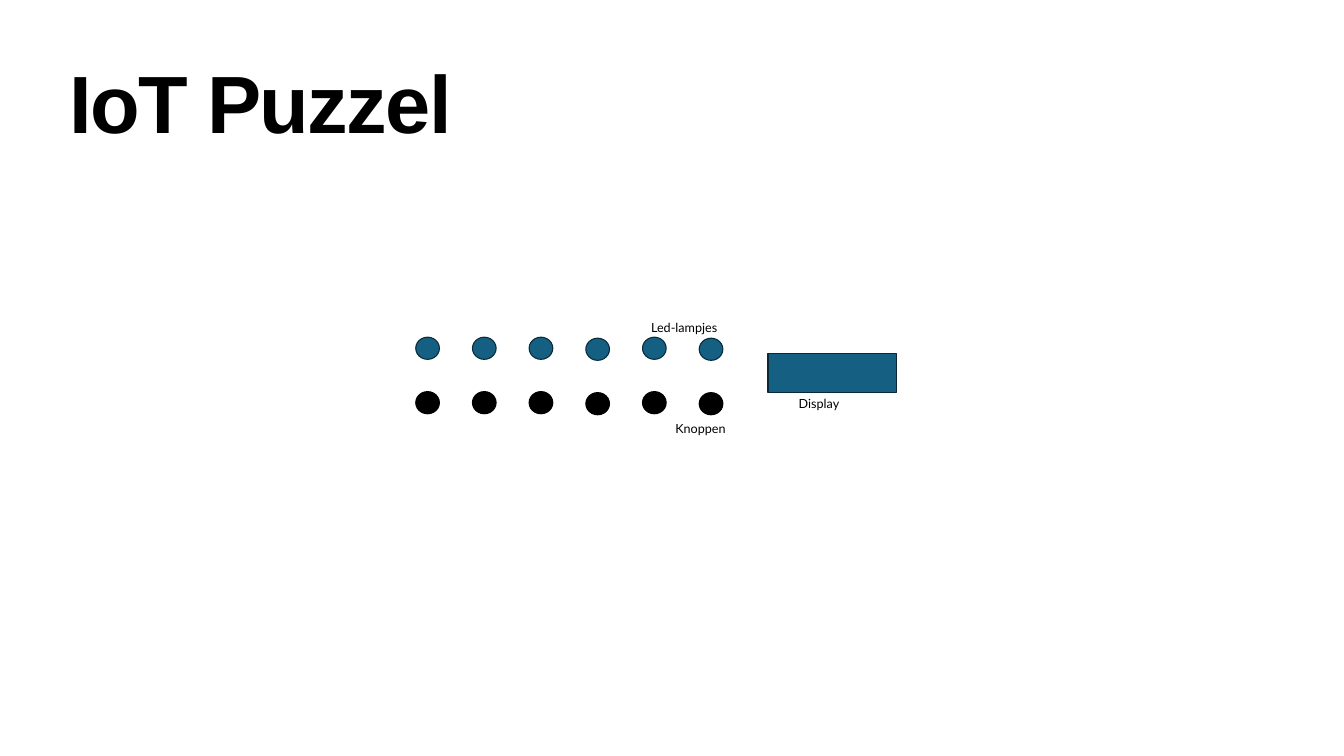
from typing import NamedTuple

from pptx import Presentation
from pptx.dml.color import RGBColor
from pptx.enum.shapes import MSO_SHAPE
from pptx.enum.text import MSO_ANCHOR, MSO_AUTO_SIZE
from pptx.util import Inches, Pt

OVAL, RECT = MSO_SHAPE.OVAL, MSO_SHAPE.RECTANGLE
TOP, MIDDLE = MSO_ANCHOR.TOP, MSO_ANCHOR.MIDDLE
FIT_SHAPE = MSO_AUTO_SIZE.SHAPE_TO_FIT_TEXT

BLUE, NAVY, BLACK = "156082", "092937", "000000"
DOT_LEFT, DOT_PITCH = 8.25, 1.125
DOT_WIDTH, DOT_HEIGHT = 0.47, 0.44
DOT_DROPS = (0, 0, 0, 0.02, 0, 0.02)  # some dots sit slightly lower


class DotRow(NamedTuple):
    top: float
    fill: str
    line: str


class Label(NamedTuple):
    text: str
    left: float
    top: float
    width: float


DOT_ROWS = (
    DotRow(6.69, BLUE, NAVY),  # LEDs
    DotRow(7.77, BLACK, BLACK),  # buttons
)
LABELS = (
    Label("Led-lampjes", 12.87, 6.29, 1.48),
    Label("Knoppen", 13.35, 8.31, 1.11),
    Label("Display", 15.8, 7.81, 0.93),
)


def color(value: str) -> RGBColor:
    return RGBColor.from_string(value)


def add_box(s, kind, left: float, top: float, width: float, height: float,
            fill: str, line: str) -> None:
    sp = s.shapes.add_shape(kind, Inches(left), Inches(top), Inches(width), Inches(height))
    sp.shadow.inherit = False
    sp.fill.solid()
    sp.fill.fore_color.rgb = color(fill)
    sp.line.color.rgb = color(line)
    sp.line.width = Pt(1.5)


def add_text(s, text: str, left: float, top: float, width: float, height: float, *,
             size: float = 18, font: str = "Lato", bold: bool = False,
             inset: float = 0.05, anchor=TOP, line_spacing: float = 1,
             tracking: float = 0) -> None:
    sp = s.shapes.add_textbox(Inches(left), Inches(top), Inches(width), Inches(height))
    tf = sp.text_frame
    tf.word_wrap = False
    tf.auto_size = FIT_SHAPE
    tf.vertical_anchor = anchor
    tf.margin_left = tf.margin_right = Inches(inset)
    tf.margin_top = tf.margin_bottom = Inches(inset)
    p = tf.paragraphs[0]
    p.line_spacing = line_spacing
    r = p.add_run()
    r.text = text
    r.font.name = font
    r.font.size = Pt(size)
    r.font.bold = bold
    r.font.color.rgb = color(BLACK)
    if tracking:
        r.font._element.set("spc", str(round(tracking * 100)))


def add_dot_row(s, row: DotRow) -> None:
    for i, drop in enumerate(DOT_DROPS):
        add_box(s, OVAL, DOT_LEFT + i * DOT_PITCH, row.top + drop,
                DOT_WIDTH, DOT_HEIGHT, row.fill, row.line)


def main() -> None:
    prs = Presentation()
    prs.slide_width, prs.slide_height = Inches(26.67), Inches(15)
    s = prs.slides.add_slide(prs.slide_layouts[6])

    # LEDs and buttons
    for row in DOT_ROWS:
        add_dot_row(s, row)

    # Display
    add_box(s, RECT, 15.24, 7.02, 2.55, 0.77, BLUE, NAVY)

    # Labels
    for label in LABELS:
        add_text(s, label.text, label.left, label.top, label.width, 0.41)

    # Title
    add_text(s, "IoT Puzzel", 1.32, 1.17, 7.74, 2.02, size=116, font="Arial", bold=True,
             inset=0.06, anchor=MIDDLE, line_spacing=0.8, tracking=-2.3)

    prs.save("out.pptx")


if __name__ == "__main__":
    main()
